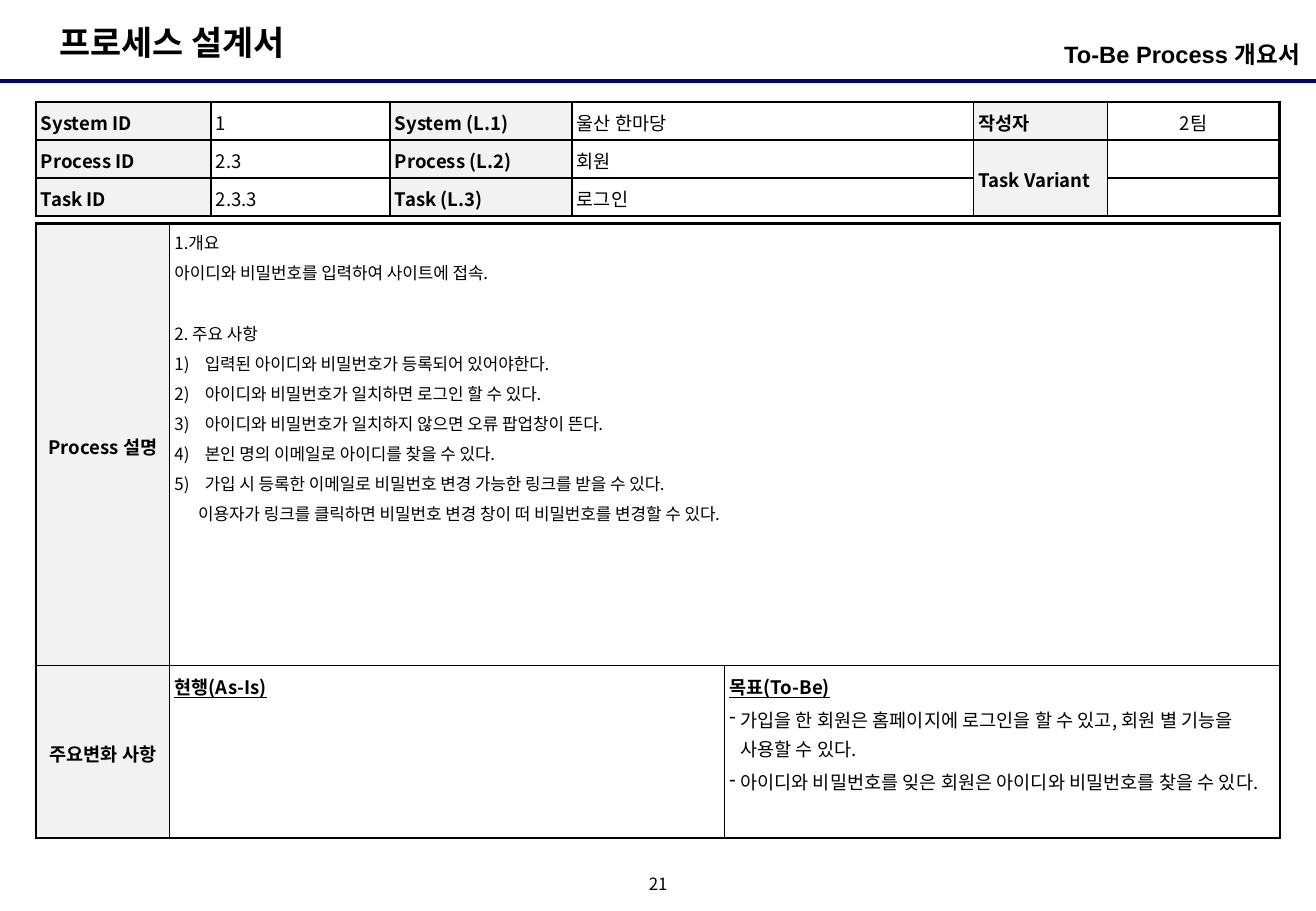
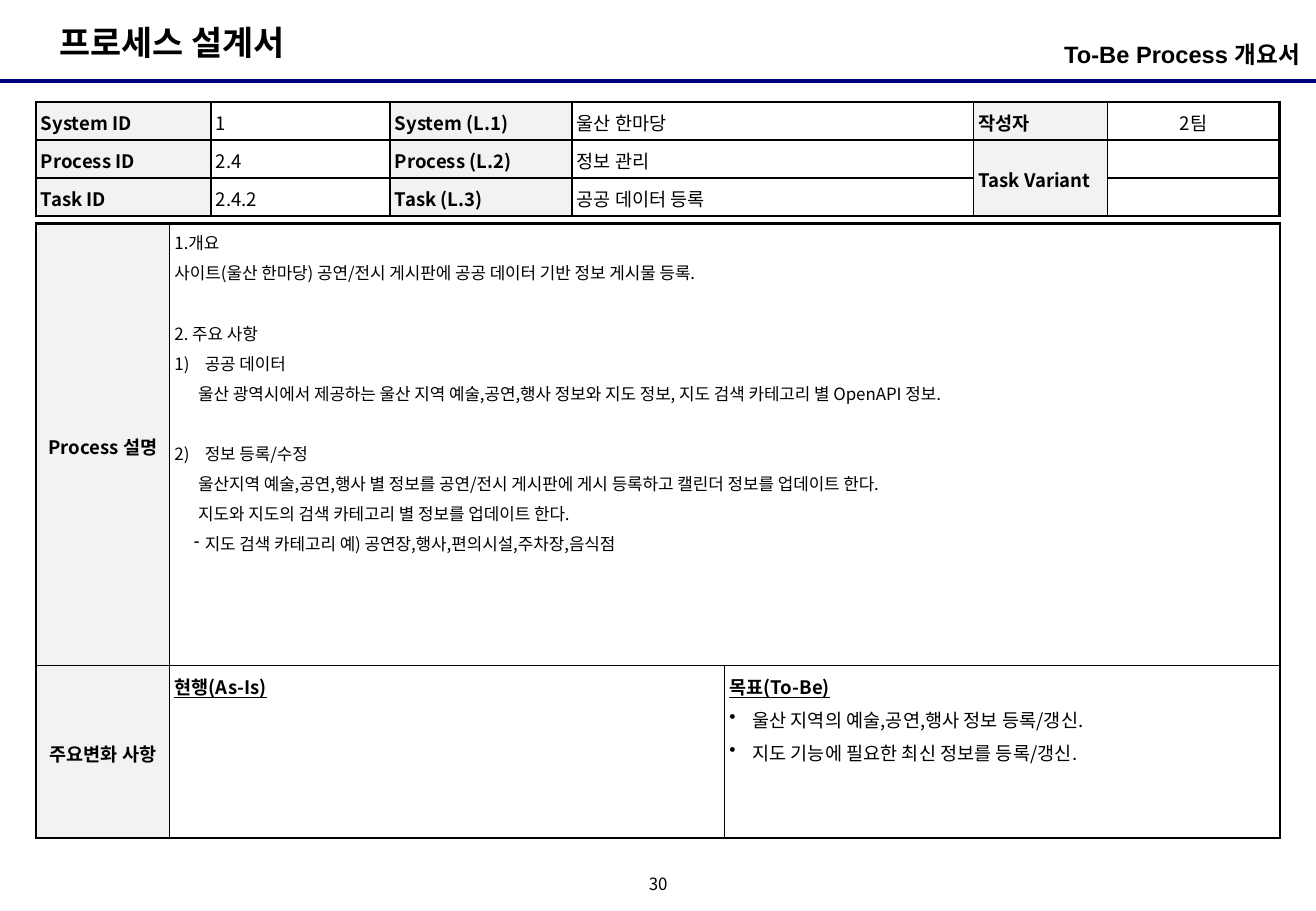
"""Builds two process design sheets, each with an ID table and a description table."""
import dataclasses

import lxml.etree
import pptx
import pptx.dml.color
import pptx.enum.shapes
import pptx.enum.text
import pptx.oxml.ns
import pptx.util

Align = pptx.enum.text.PP_ALIGN
Anchor = pptx.enum.text.MSO_ANCHOR
qn = pptx.oxml.ns.qn


@dataclasses.dataclass
class Theme:
    ink: str = "000000"
    rule: str = "000080"
    label_fill: str = "F2F2F2"
    cell_fill: str = "FFFFFF"
    font: str = "Noto Sans CJK KR"
    title_size: int = 20
    subtitle_size: int = 14
    table_size: int = 11
    body_size: int = 10
    outer_border: float = 1.5
    inner_border: float = 1
    rule_width: float = 2.25


@dataclasses.dataclass
class Style:
    size: int
    bold: bool = False
    underline: bool = False
    align: Align = Align.LEFT
    font: str = Theme.font
    leading: float = 1.1
    before: float = 2
    left: float = 0
    hang: float = 0
    bullet: tuple = ()


theme = Theme()
number = ("a:buAutoNum", {"type": "arabicParenR"})
number_two = ("a:buAutoNum", {"type": "arabicParenR", "startAt": "2"})
dash = ("a:buChar", {"char": "-"})
dot = ("a:buChar", {"char": "•"})
table_size, body_size = theme.table_size, theme.body_size
styles = {
    "title": Style(theme.title_size, bold=True, leading=1),
    "subtitle": Style(theme.subtitle_size, bold=True, align=Align.RIGHT, font="Arial", leading=1),
    "page": Style(body_size, align=Align.CENTER, leading=0.8),
    "label": Style(table_size, bold=True),
    "side label": Style(table_size, bold=True, align=Align.CENTER),
    "value": Style(table_size),
    "centred value": Style(table_size, align=Align.CENTER),
    "heading": Style(table_size, bold=True, underline=True),
    "dash": Style(table_size, left=0.83, hang=0.83, bullet=dash),
    "dot": Style(table_size, left=1.75, hang=1.75, bullet=dot),
    "body": Style(body_size),
    "section": Style(body_size, before=20),
    "number": Style(body_size, left=2.3, hang=2.3, bullet=number),
    "number two": Style(body_size, before=20, left=2.3, hang=2.3, bullet=number_two),
    "continued": Style(body_size, left=1.8),
    "nested dash": Style(body_size, left=2.3, hang=0.83, bullet=dash),
}

presentation = pptx.Presentation()
presentation.slide_width = pptx.util.Inches(10.83)
presentation.slide_height = pptx.util.Inches(7.5)
column = presentation.slide_width / 100
row = presentation.slide_height / 100


def write(text_frame, lines):
    """Fill a text frame with (text, style name) lines."""
    for index, (text, style_name) in enumerate(lines):
        style = styles[style_name]
        paragraph = text_frame.add_paragraph() if index else text_frame.paragraphs[0]
        if text:
            paragraph.add_run().text = text
        paragraph.alignment = style.align
        paragraph.line_spacing = style.leading
        if index:
            paragraph.space_before = pptx.util.Pt(style.before)
        properties = paragraph._p.get_or_add_pPr()
        properties.set("marL", str(int(style.left * column)))
        properties.set("indent", str(int(-style.hang * column)))
        if style.bullet:
            tag, attributes = style.bullet
            lxml.etree.SubElement(properties, qn(tag), attributes)
        font = paragraph.font
        font.size = pptx.util.Pt(style.size)
        font.bold = style.bold
        font.underline = style.underline
        font.color.rgb = pptx.dml.color.RGBColor.from_string(theme.ink)
        font.name = style.font
        lxml.etree.SubElement(font._element, qn("a:ea"), typeface=theme.font)


def draw_border(cell, side, width):
    """Draw one side (L, R, T or B) of a table cell."""
    properties = cell._tc.get_or_add_tcPr()
    line = lxml.etree.SubElement(properties, qn("a:ln" + side), w=str(pptx.util.Pt(width)))
    fill = lxml.etree.SubElement(line, qn("a:solidFill"))
    lxml.etree.SubElement(fill, qn("a:srgbClr"), val=theme.ink)


pages = [
    {
        "page": "21",
        "ids": ["1", "2.3", "2.3.3"],
        "names": ["울산 한마당", "회원", "로그인"],
        "description": [
            ("1.개요", "body"),
            ("아이디와 비밀번호를 입력하여 사이트에 접속.", "body"),
            ("2. 주요 사항", "section"),
            ("입력된 아이디와 비밀번호가 등록되어 있어야한다.", "number"),
            ("아이디와 비밀번호가 일치하면 로그인 할 수 있다.", "number"),
            ("아이디와 비밀번호가 일치하지 않으면 오류 팝업창이 뜬다.", "number"),
            ("본인 명의 이메일로 아이디를 찾을 수 있다.", "number"),
            ("가입 시 등록한 이메일로 비밀번호 변경 가능한 링크를 받을 수 있다.", "number"),
            ("이용자가 링크를 클릭하면 비밀번호 변경 창이 떠 비밀번호를 변경할 수 있다.", "continued"),
        ],
        "goals": [
            ("가입을 한 회원은 홈페이지에 로그인을 할 수 있고, 회원 별 기능을 사용할 수 있다.", "dash"),
            ("아이디와 비밀번호를 잊은 회원은 아이디와 비밀번호를 찾을 수 있다.", "dash"),
        ],
    },
    {
        "page": "30",
        "ids": ["1", "2.4", "2.4.2"],
        "names": ["울산 한마당", "정보 관리", "공공 데이터 등록"],
        "description": [
            ("1.개요", "body"),
            ("사이트(울산 한마당) 공연/전시 게시판에 공공 데이터 기반 정보 게시물 등록.", "body"),
            ("2. 주요 사항", "section"),
            ("공공 데이터", "number"),
            ("울산 광역시에서 제공하는 울산 지역 예술,공연,행사 정보와 지도 정보, "
             "지도 검색 카테고리 별 OpenAPI 정보.", "continued"),
            ("정보 등록/수정", "number two"),
            ("울산지역 예술,공연,행사 별 정보를 공연/전시 게시판에 게시 등록하고 "
             "캘린더 정보를 업데이트 한다.", "continued"),
            ("지도와 지도의 검색 카테고리 별 정보를 업데이트 한다.", "continued"),
            ("지도 검색 카테고리 예) 공연장,행사,편의시설,주차장,음식점", "nested dash"),
        ],
        "goals": [
            ("울산 지역의 예술,공연,행사 정보 등록/갱신.", "dot"),
            ("지도 기능에 필요한 최신 정보를 등록/갱신.", "dot"),
        ],
    },
]

id_labels = ["System ID", "Process ID", "Task ID"]
name_labels = ["System (L.1)", "Process (L.2)", "Task (L.3)"]
variant_labels = ["작성자", "Task Variant", ""]
authors = ["2팀", "", ""]
id_styles = ["label", "value", "label", "value", "label", "centred value"]
table_left = 2.75

for page in pages:
    slide = presentation.slides.add_slide(presentation.slide_layouts[6])

    rule = slide.shapes.add_connector(
        pptx.enum.shapes.MSO_CONNECTOR.STRAIGHT,
        0, int(8.9 * row), presentation.slide_width, int(8.9 * row))
    rule.line.color.rgb = pptx.dml.color.RGBColor.from_string(theme.rule)
    rule.line.width = pptx.util.Pt(theme.rule_width)
    lxml.etree.SubElement(rule._element.spPr, qn("a:effectLst"))

    for text, style_name, left, top, width, height, inset, wrap in [
        ("프로세스 설계서", "title", 3.6, 1.73, 24.47, 5.87, 0.92, False),
        ("To-Be Process 개요서", "subtitle", 68.24, 3.73, 30.56, 5.2, 0, True),
        (page["page"], "page", 48.48, 95.6, 3.05, 3.33, 0, False),
    ]:
        text_box = slide.shapes.add_textbox(
            int(left * column), int(top * row), int(width * column), int(height * row))
        text_frame = text_box.text_frame
        text_frame.word_wrap = wrap
        text_frame.margin_left = text_frame.margin_right = int(inset * column)
        if style_name == "page":
            text_frame.margin_top = text_frame.margin_bottom = 0
            text_frame.vertical_anchor = Anchor.MIDDLE
        write(text_frame, [(text, style_name)])

    id_cells = [
        [[line] for line in zip(texts, id_styles)]
        for texts in zip(id_labels, page["ids"], name_labels, page["names"], variant_labels, authors)
    ]
    description_cells = [
        [[("Process 설명", "side label")], page["description"], []],
        [[("주요변화 사항", "side label")],
         [("현행(As-Is)", "heading")],
         [("목표(To-Be)", "heading")] + page["goals"]],
    ]

    for top, widths, heights, cells, merge_from, merge_to in [
        (11.2, [13.3, 13.6, 13.83, 30.51, 10.18, 13.07], [4.18] * 3, id_cells, (1, 4), (2, 4)),
        (24.53, [10.15, 42.17, 42.17], [48.53, 18.93], description_cells, (0, 1), (0, 2)),
    ]:
        table = slide.shapes.add_table(
            len(heights), len(widths), int(table_left * column), int(top * row),
            int(sum(widths) * column), int(sum(heights) * row)).table
        table.first_row = table.horz_banding = False
        for table_column, width in zip(table.columns, widths):
            table_column.width = int(width * column)
        for table_row, height in zip(table.rows, heights):
            table_row.height = int(height * row)
        table.cell(*merge_from).merge(table.cell(*merge_to))

        for row_index, row_cells in enumerate(cells):
            for column_index, lines in enumerate(row_cells):
                cell = table.cell(row_index, column_index)
                if cell.is_spanned:
                    continue
                is_label = lines[0][1] in ("label", "side label")
                cell.margin_left = cell.margin_right = int(0.36 * column)
                cell.margin_top = cell.margin_bottom = int(0.48 * row)
                cell.vertical_anchor = Anchor.MIDDLE if is_label else Anchor.TOP
                row_end = row_index + (cell.span_height if cell.is_merge_origin else 1)
                column_end = column_index + (cell.span_width if cell.is_merge_origin else 1)
                for side, is_outer in [
                    ("L", column_index == 0), ("R", column_end == len(widths)),
                    ("T", row_index == 0), ("B", row_end == len(heights)),
                ]:
                    draw_border(cell, side, theme.outer_border if is_outer else theme.inner_border)
                cell.fill.solid()
                cell.fill.fore_color.rgb = pptx.dml.color.RGBColor.from_string(
                    theme.label_fill if is_label else theme.cell_fill)
                write(cell.text_frame, lines)

presentation.save("out.pptx")
